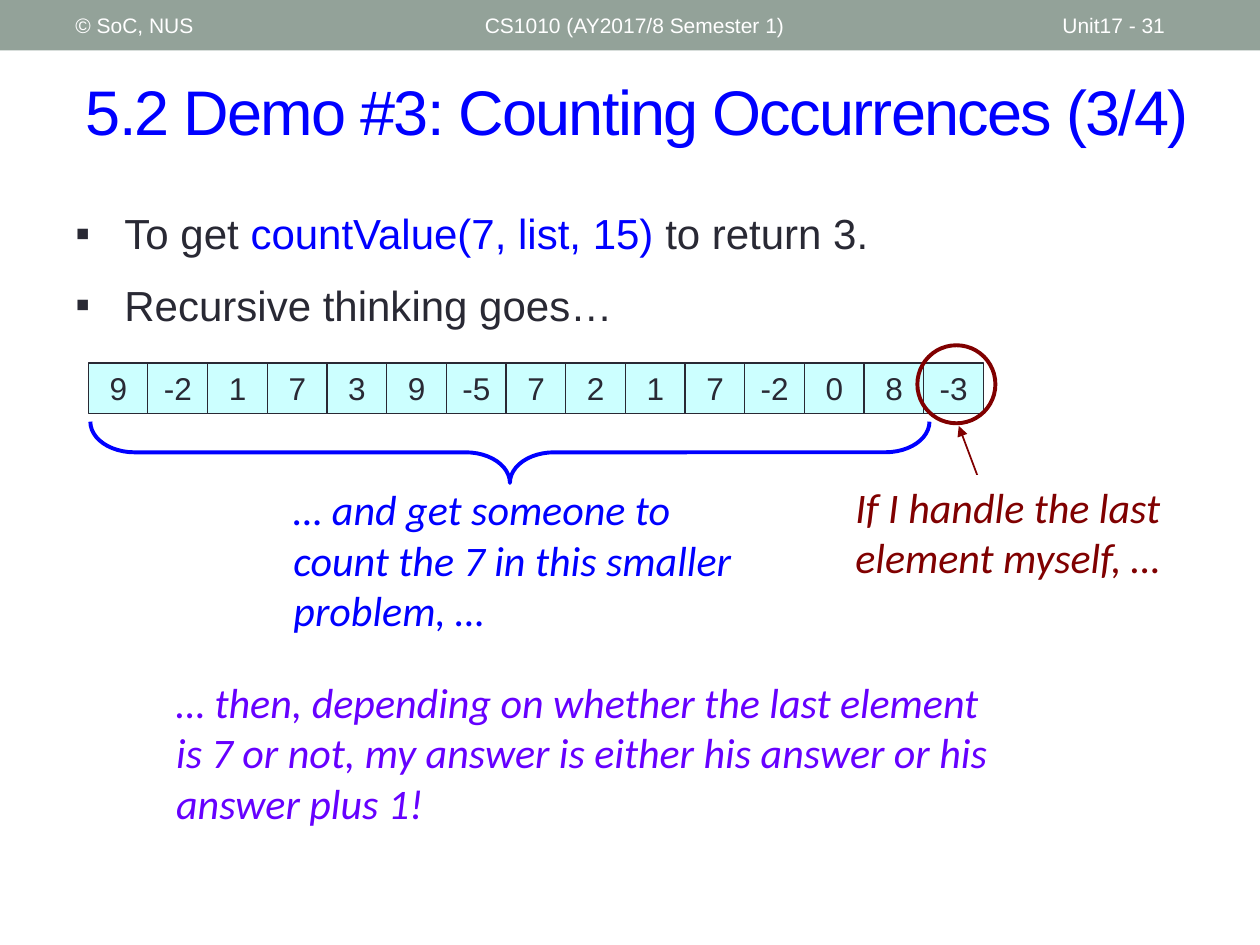
from lxml import etree
from pptx import Presentation
from pptx.dml.color import RGBColor
from pptx.enum.shapes import MSO_CONNECTOR, MSO_SHAPE as Shape
from pptx.enum.text import MSO_ANCHOR as Anchor, PP_ALIGN as Align
from pptx.oxml.ns import qn
from pptx.util import Pt

# Content
TITLE = "5.2 Demo #3: Counting Occurrences (3/4)"
BLUE, MAROON, VIOLET = "0000FF", "800000", "6600FF"
INK, WHITE, CYAN, SAGE = "292934", "FFFFFF", "CCFFFF", "93A299"
HEADER = [  # text, left, width
    ("CS1010 (AY2017/8 Semester 1)", 270, 324),
    ("Unit17 - 31", 600, 84),
    ("© SoC, NUS", 36, 228),
]
BULLETS = [
    [("To get ", INK), ("countValue(7, list, 15)", BLUE), (" to return 3.", INK)],
    [("Recursive thinking goes…", INK)],
]
VALUES = [9, -2, 1, 7, 3, 9, -5, 7, 2, 1, 7, -2, 0, 8, -3]
NOTES = [  # text, colour, left, top, width, height
    ("If I handle the last element myself, …", MAROON, 481.7, 271.5, 200.9, 65.5),
    ("… and get someone to count the 7 in this smaller problem, …",
     BLUE, 160.6, 272.9, 282.2, 94.3),
    ("… then, depending on whether the last element is 7 or not, "
     "my answer is either his answer or his answer plus 1!",
     VIOLET, 93.6, 383, 478.1, 94.3),
]
CELL_LEFT, CELL_TOP, CELL_STEP, CELL_WIDTH, CELL_HEIGHT = 50.4, 207.4, 34.1, 34.4, 28.8


def rgb(colour):
    return RGBColor.from_string(colour)


def style(font, size, colour, name="Arial", italic=None):
    font.size, font.name, font.italic = Pt(size), name, italic
    font.color.rgb = rgb(colour)


def add_shape(kind, left, top, width, height, fill=None, line=None, weight=0.75):
    shape = slide.shapes.add_shape(kind, Pt(left), Pt(top), Pt(width), Pt(height))
    shape.shadow.inherit = False
    if fill:
        shape.fill.solid()
        shape.fill.fore_color.rgb = rgb(fill)
    else:
        shape.fill.background()
    if line:
        shape.line.color.rgb = rgb(line)
        shape.line.width = Pt(weight)
    else:
        shape.line.fill.background()
    return shape


def add_text_box(left, top, width, height, anchor=Anchor.TOP):
    box = slide.shapes.add_textbox(Pt(left), Pt(top), Pt(width), Pt(height))
    box.text_frame.word_wrap = True
    box.text_frame.vertical_anchor = anchor
    return box


deck = Presentation()
deck.slide_width, deck.slide_height = Pt(720), Pt(540)
slide = deck.slides.add_slide(deck.slide_layouts[5])

# Title
title = slide.shapes.title
title.left, title.top, title.width, title.height = Pt(41.8), Pt(30.2), Pt(660), Pt(66.2)
title.text_frame.text = TITLE
title.text_frame.vertical_anchor = Anchor.MIDDLE
para = title.text_frame.paragraphs[0]
para.alignment = Align.LEFT
style(para.runs[0].font, 36, BLUE)
para.runs[0].font._element.set("spc", "-100")

# Header bar
add_shape(Shape.RECTANGLE, 0, 0, 720, 28.8, SAGE)
for text, left, width in HEADER:
    box = add_text_box(left, 1.4, width, 26, Anchor.MIDDLE)
    box.text_frame.text = text
    style(box.text_frame.paragraphs[0].runs[0].font, 12, WHITE)

# Bullets
frame = add_text_box(36, 115.2, 565.2, 77.8).text_frame
for index, spans in enumerate(BULLETS):
    para = frame.add_paragraph() if index else frame.paragraphs[0]
    props = para._p.get_or_add_pPr()
    props.set("marL", str(Pt(28)))
    props.set("indent", str(-Pt(28)))
    etree.SubElement(props, qn("a:buFont"), typeface="Arial")
    etree.SubElement(props, qn("a:buChar"), char="▪")
    if index:
        para.space_before = Pt(12)
    for text, colour in spans:
        span = para.add_run()
        span.text = text
        style(span.font, 24, colour)

# Array cells
for index, value in enumerate(VALUES):
    cell = add_shape(Shape.RECTANGLE, CELL_LEFT + index * CELL_STEP, CELL_TOP,
                     CELL_WIDTH, CELL_HEIGHT, CYAN, INK)
    cell.text_frame.text = str(value)
    para = cell.text_frame.paragraphs[0]
    para.alignment = Align.CENTER
    style(para.runs[0].font, 18, INK)

# Arrow to the last element; its tail runs under the note
arrow = slide.shapes.add_connector(
    MSO_CONNECTOR.STRAIGHT, Pt(561.6), Pt(280), Pt(547.9), Pt(243.4))
arrow.line.color.rgb = rgb(MAROON)
arrow.line.width = Pt(1)
etree.SubElement(arrow.line._get_or_add_ln(), qn("a:tailEnd"), type="triangle")
etree.SubElement(arrow._element.spPr, qn("a:effectLst"))

# Notes
for text, colour, left, top, width, height in NOTES:
    box = add_text_box(left, top, width, height)
    box.fill.solid()
    box.fill.fore_color.rgb = rgb(WHITE)
    box.text_frame.text = text
    style(box.text_frame.paragraphs[0].runs[0].font, 24, colour, "Calibri", True)

# Ring around the last element and brace under the others
add_shape(Shape.OVAL, 524.2, 197.3, 44.6, 44.6, line=MAROON, weight=2.25)
brace = add_shape(Shape.LEFT_BRACE, 273.9, 18.7, 35, 479.5, line=BLUE, weight=2.25)
brace.rotation = 270
brace.adjustments[0], brace.adjustments[1] = 0.72, 0.5

deck.save("out.pptx")
